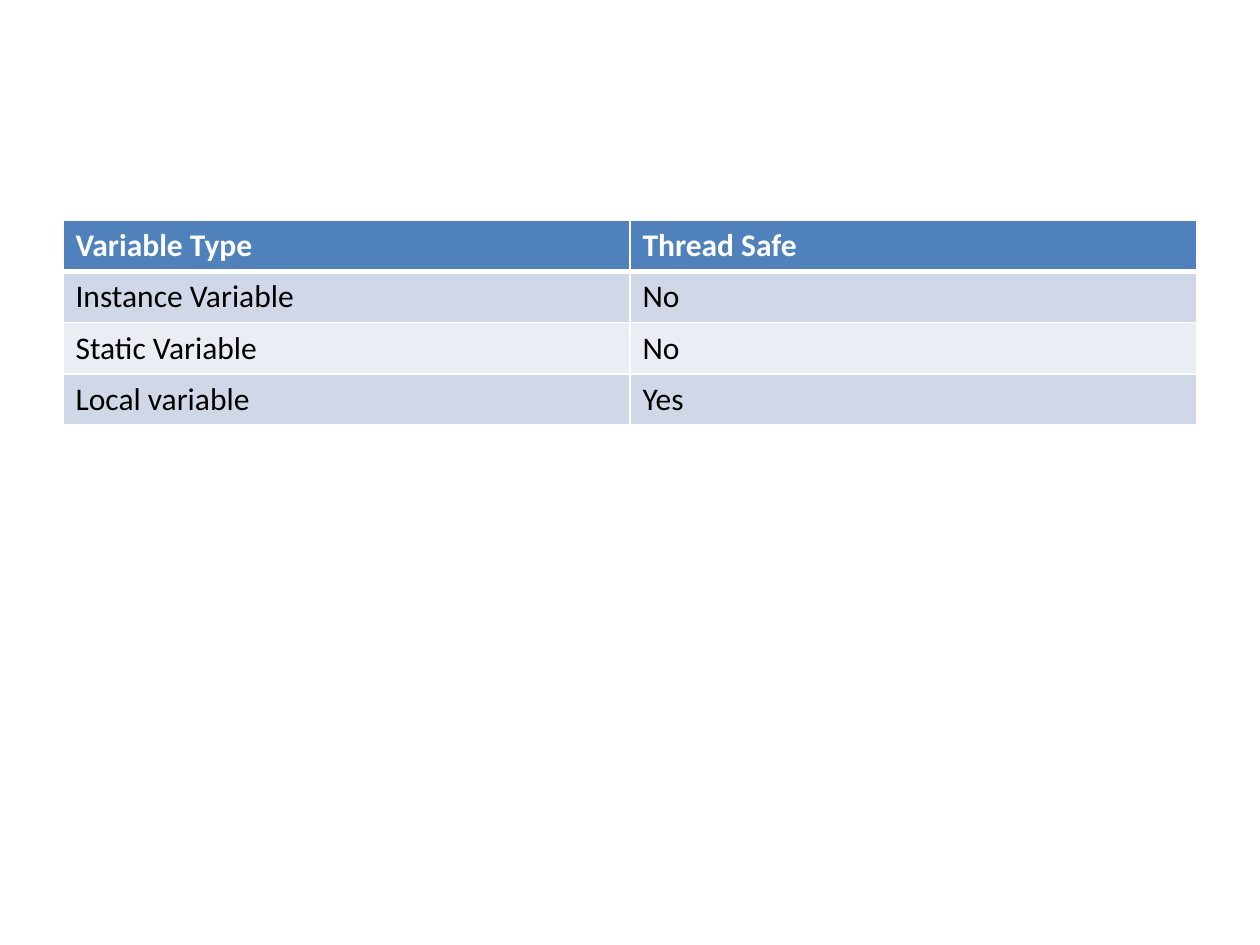
import pptx
import pptx.util
import pptx.dml.color
import pptx.oxml.ns
import lxml.etree
from dataclasses import dataclass

Pt = pptx.util.Pt


@dataclass(frozen=True)
class Theme:
    font: str = "Calibri"
    size: int = 18
    header_fill: str = "4F81BD"
    band_fills: tuple = ("D0D8E8", "E9EDF4")
    header_text: str = "FFFFFF"
    body_text: str = "000000"
    border: str = "FFFFFF"
    thin: int = 1
    thick: int = 3


THEME = Theme()

ROWS = [
    ("Variable Type", "Thread Safe"),
    ("Instance Variable", "No"),
    ("Static Variable", "No"),
    ("Local variable", "Yes"),
]


def color(value):
    return pptx.dml.color.RGBColor.from_string(value)


def set_borders(cell, **widths):
    """Draw the named cell edges, in the order the schema asks for."""
    qualified = pptx.oxml.ns.qn
    properties = cell._tc.get_or_add_tcPr()
    for edge in "LRTB":
        line = lxml.etree.SubElement(properties, qualified("a:ln" + edge),
                                     w=str(Pt(widths.get(edge, THEME.thin))))
        fill = lxml.etree.SubElement(line, qualified("a:solidFill"))
        lxml.etree.SubElement(fill, qualified("a:srgbClr"), val=THEME.border)


def format_cell(cell, text, row):
    is_header = row == 0
    # Borders come before the fill in the cell properties
    edges = {0: {"B": THEME.thick}, 1: {"T": THEME.thick}}
    set_borders(cell, **edges.get(row, {}))
    cell.fill.solid()
    cell.fill.fore_color.rgb = color(
        THEME.header_fill if is_header else THEME.band_fills[(row - 1) % 2])

    cell.text = text
    font = cell.text_frame.paragraphs[0].font
    font.name = THEME.font
    font.size = Pt(THEME.size)
    font.bold = is_header
    font.color.rgb = color(THEME.header_text if is_header else THEME.body_text)


def add_table(slide, rows, left, top, width, row_height):
    shape = slide.shapes.add_table(len(rows), len(rows[0]), Pt(left), Pt(top),
                                   Pt(width), Pt(row_height * len(rows)))
    for row, texts in enumerate(rows):
        for column, text in enumerate(texts):
            format_cell(shape.table.cell(row, column), text, row)


def main():
    presentation = pptx.Presentation()
    presentation.slide_width = Pt(720)
    presentation.slide_height = Pt(540)

    # The slide has no title, so it uses the blank layout
    slide = presentation.slides.add_slide(presentation.slide_layouts[6])
    add_table(slide, ROWS, left=36, top=126, width=648, row_height=29.2)

    presentation.save("out.pptx")


main()
